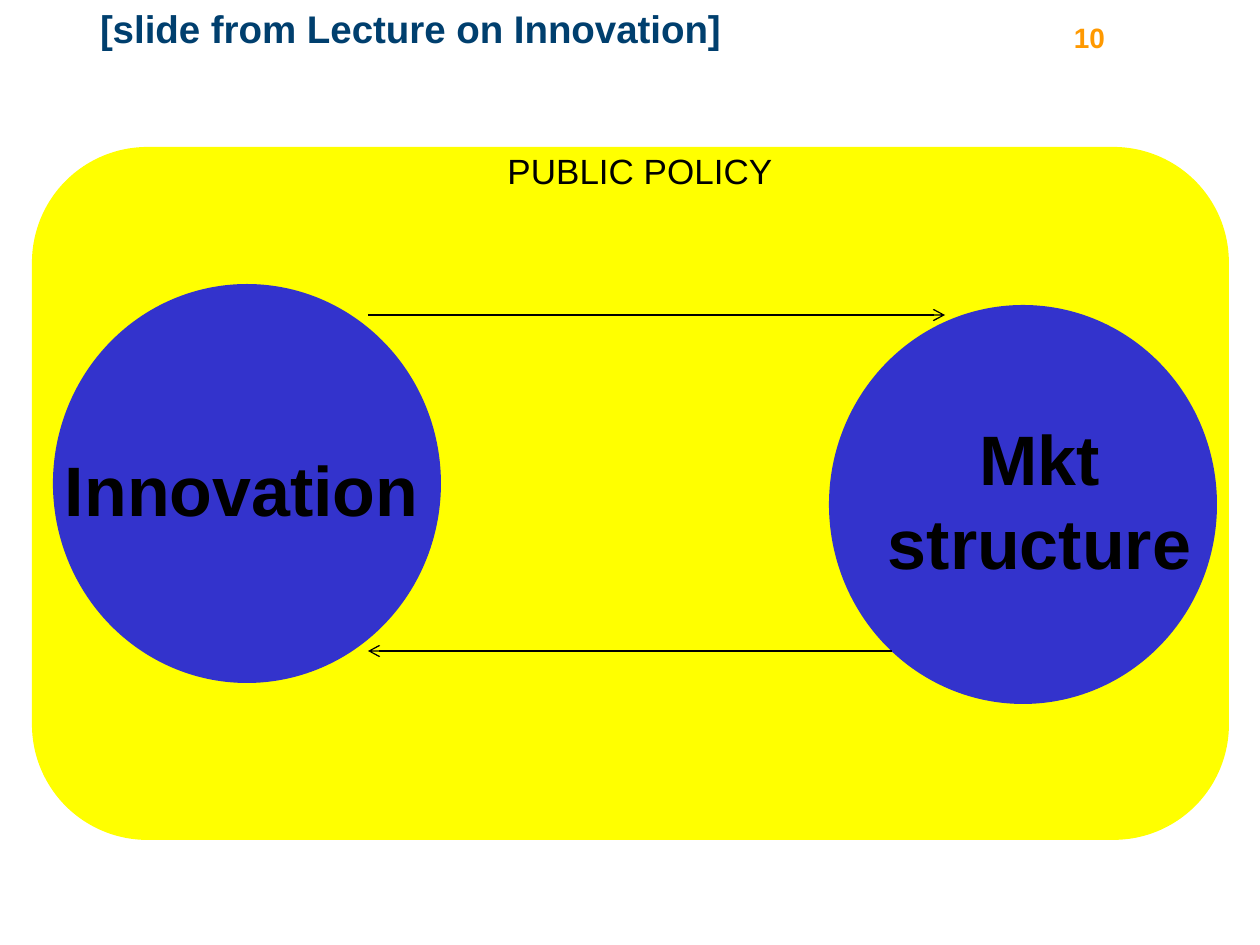
from dataclasses import dataclass

from lxml import etree
from pptx import Presentation
from pptx.dml.color import RGBColor
from pptx.enum.shapes import MSO_CONNECTOR, MSO_SHAPE
from pptx.enum.text import MSO_ANCHOR, PP_ALIGN
from pptx.oxml.ns import qn
from pptx.util import Pt

PX = 914400 / 126
STRAIGHT = MSO_CONNECTOR.STRAIGHT
ROUNDED, OVAL = MSO_SHAPE.ROUNDED_RECTANGLE, MSO_SHAPE.OVAL
TOP = MSO_ANCHOR.TOP
LEFT, CENTER, RIGHT = PP_ALIGN.LEFT, PP_ALIGN.CENTER, PP_ALIGN.RIGHT


def px(value):
    return round(value * PX)


@dataclass(frozen=True)
class Theme:
    font: str = "Arial"
    heading: str = "003F6E"
    number: str = "FF9900"
    ink: str = "000000"
    policy: str = "FFFF00"
    factor: str = "3333CC"
    heading_size: int = 22
    number_size: int = 16
    policy_size: int = 20
    factor_size: int = 40
    line_width: float = 0.75


class SlideBuilder:
    def __init__(self, slide, theme):
        self.slide = slide
        self.theme = theme

    def set_text(self, holder, text, size, color, bold=True, align=LEFT, insets=(0, 0, 0, 0)):
        frame = holder.text_frame
        left, top, right, bottom = map(px, insets)
        layout = {
            "word_wrap": True,
            "vertical_anchor": TOP,
            "margin_left": left,
            "margin_top": top,
            "margin_right": right,
            "margin_bottom": bottom,
        }
        for name, value in layout.items():
            setattr(frame, name, value)
        paragraph = frame.paragraphs[0]
        paragraph.alignment = align
        run = paragraph.add_run()
        run.text = text
        for name, value in {"name": self.theme.font, "size": Pt(size), "bold": bold}.items():
            setattr(run.font, name, value)
        run.font.color.rgb = RGBColor.from_string(color)

    def title(self, box, text):
        heading = self.slide.shapes.title
        for name, value in zip(("left", "top", "width", "height"), box):
            setattr(heading, name, px(value))
        self.set_text(heading, text, self.theme.heading_size, self.theme.heading)

    def text(self, box, text, size, color, **style):
        label = self.slide.shapes.add_textbox(*map(px, box))
        self.set_text(label, text, size, color, **style)

    def area(self, kind, box, color):
        shape = self.slide.shapes.add_shape(kind, *map(px, box))
        shape.shadow.inherit = False
        shape.fill.solid()
        shape.fill.fore_color.rgb = RGBColor.from_string(color)
        shape.line.fill.background()

    def arrow(self, start_x, end_x, y):
        connector = self.slide.shapes.add_connector(STRAIGHT, *map(px, (start_x, y, end_x, y)))
        connector.line.width = Pt(self.theme.line_width)
        connector.line.color.rgb = RGBColor.from_string(self.theme.ink)
        properties = connector._element.spPr
        etree.SubElement(properties.find(qn("a:ln")), qn("a:tailEnd"), type="arrow")
        etree.SubElement(properties, qn("a:effectLst"))


def main():
    deck = Presentation()
    deck.slide_width, deck.slide_height = px(1260), px(945)
    theme = Theme()
    builder = SlideBuilder(deck.slides.add_slide(deck.slide_layouts[5]), theme)

    builder.area(ROUNDED, (32, 147, 1197, 693), theme.policy)
    builder.title((100, 5, 971, 116), "[slide from Lecture on Innovation]")
    builder.text((1066, 21, 188, 34), "10", theme.number_size, theme.number,
                 align=RIGHT, insets=(0, 0, 149, 0))
    builder.text((73, 150, 1134, 683), "PUBLIC POLICY", theme.policy_size, theme.ink,
                 bold=False, align=CENTER)

    factors = [
        ("Innovation", (53, 284), (53, 441, 410, 97), LEFT),
        ("Mkt structure", (829, 305), (819, 410, 441, 183), CENTER),
    ]
    for factor, corner, label_box, align in factors:
        builder.area(OVAL, (*corner, 388, 399), theme.factor)
        builder.text(label_box, factor, theme.factor_size, theme.ink,
                     align=align, insets=(12, 6, 12, 6))

    for start_x, end_x, y in ((368, 945, 315), (892, 368, 651)):
        builder.arrow(start_x, end_x, y)

    deck.save("out.pptx")


if __name__ == "__main__":
    main()
